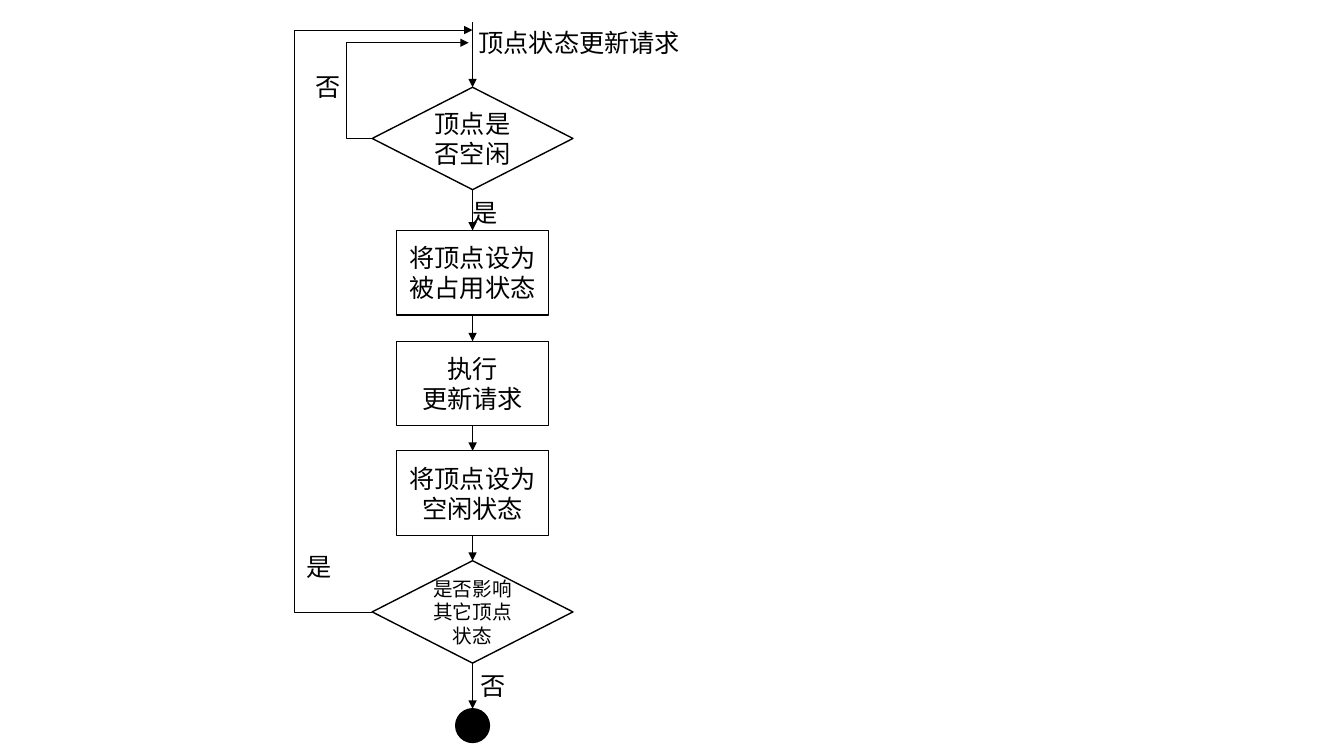
import pptx
import pptx.dml.color
import pptx.enum.shapes
import pptx.enum.text
import pptx.oxml
import pptx.util
from pptx.util import Cm

KIND = pptx.enum.shapes.MSO_SHAPE
LINK = pptx.enum.shapes.MSO_CONNECTOR
BLACK, WHITE = "000000", "FFFFFF"
AXIS = 11.91  # centre line of the flow


def paint(fmt, color):
    """Set a solid colour on a fill, line fill or font fill."""
    fmt.solid()
    fmt.fore_color.rgb = pptx.dml.color.RGBColor.from_string(color)


def write(frame, text, size, align):
    frame.word_wrap = True
    frame.text = text
    for para in frame.paragraphs:
        para.alignment = align
        para.font.name = "Calibri"
        para.font.size = pptx.util.Pt(size)
        paint(para.font.fill, BLACK)


deck = pptx.Presentation()
deck.slide_width, deck.slide_height = Cm(33.87), Cm(19.05)
slide = deck.slides.add_slide(deck.slide_layouts[6])
shapes = slide.shapes

# Steps from top to bottom: kind, top, width, height, fill, text, size
steps = [
    (KIND.DIAMOND, 2.2, 5.06, 2.58, WHITE, "顶点是否空闲", 18),
    (KIND.RECTANGLE, 5.81, 3.84, 2.13, WHITE, "将顶点设为被占用状态", 18),
    (KIND.RECTANGLE, 8.6, 3.84, 2.13, WHITE, "执行\n更新请求", 18),
    (KIND.RECTANGLE, 11.36, 3.84, 2.13, WHITE, "将顶点设为空闲状态", 18),
    (KIND.DIAMOND, 14.13, 5.06, 2.58, WHITE, "是否影响其它顶点状态", 14),
    (KIND.FLOWCHART_CONNECTOR, 17.86, 0.85, 0.85, BLACK, "", 18),
]
nodes = []
for kind, top, width, height, fill, text, size in steps:
    node = shapes.add_shape(kind, Cm(AXIS - width / 2), Cm(top), Cm(width), Cm(height))
    node.shadow.inherit = False
    paint(node.fill, fill)
    paint(node.line.fill, BLACK)
    node.line.width = pptx.util.Pt(1)
    node.text_frame.vertical_anchor = pptx.enum.text.MSO_ANCHOR.MIDDLE
    if text:
        write(node.text_frame, text, size, pptx.enum.text.PP_ALIGN.CENTER)
    nodes.append(node)

# Entry arrow, then one arrow between each pair of steps
entry = shapes.add_connector(LINK.STRAIGHT, Cm(AXIS), Cm(0.56), Cm(AXIS), Cm(2.2))
entry.end_connect(nodes[0], 0)
links = [entry]
for upper, lower in zip(nodes, nodes[1:]):
    link = shapes.add_connector(LINK.STRAIGHT, 0, 0, 0, 0)
    link.begin_connect(upper, 2)
    link.end_connect(lower, 0)
    links.append(link)

# Loops back to the entry: start y, bend x, end x, end y
left = AXIS - 5.06 / 2
for start, bend, end, top in [(3.49, 8.74, 11.81, 1.08), (15.42, 7.42, AXIS, 0.76)]:
    loop = shapes.add_connector(LINK.ELBOW, Cm(left), Cm(start), Cm(end), Cm(top))
    ratio = round((bend - left) / (end - left) * 100000)
    guide = pptx.oxml.parse_xml(
        '<a:gd xmlns:a="http://schemas.openxmlformats.org/drawingml/2006/main" '
        f'name="adj1" fmla="val {ratio}"/>')
    loop.element.spPr.find(".//" + pptx.oxml.ns.qn("a:avLst")).append(guide)
    links.append(loop)

# Thin black lines with a triangle head and no shadow
for link in links:
    paint(link.line.fill, BLACK)
    link.line.width = pptx.util.Pt(0.5)
    props = link.element.spPr
    head = props.ln.makeelement(pptx.oxml.ns.qn("a:tailEnd"), {"type": "triangle"})
    props.ln.append(head)
    props.append(props.makeelement(pptx.oxml.ns.qn("a:effectLst"), {}))

# Labels: text, left, top, width
labels = [
    ("顶点状态更新请求", 11.81, 0.56, 6.1),
    ("否", 7.7, 1.68, 0.84),
    ("是", 11.66, 4.85, 0.84),
    ("否", 11.86, 16.76, 0.84),
    ("是", 7.47, 13.77, 0.84),
]
for text, x, y, width in labels:
    label = shapes.add_textbox(Cm(x), Cm(y), Cm(width), Cm(1.02))
    write(label.text_frame, text, 18, pptx.enum.text.PP_ALIGN.LEFT)
    label.text_frame.auto_size = pptx.enum.text.MSO_AUTO_SIZE.SHAPE_TO_FIT_TEXT

deck.save("out.pptx")
